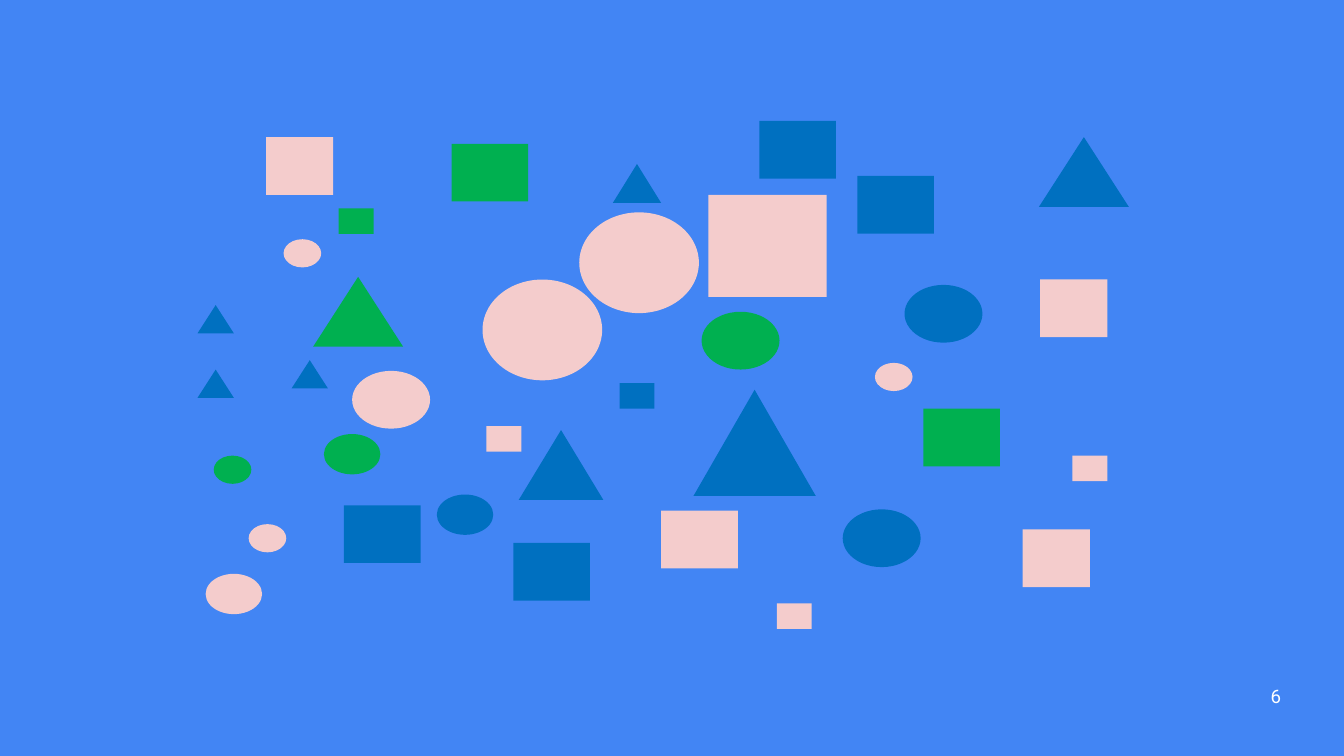
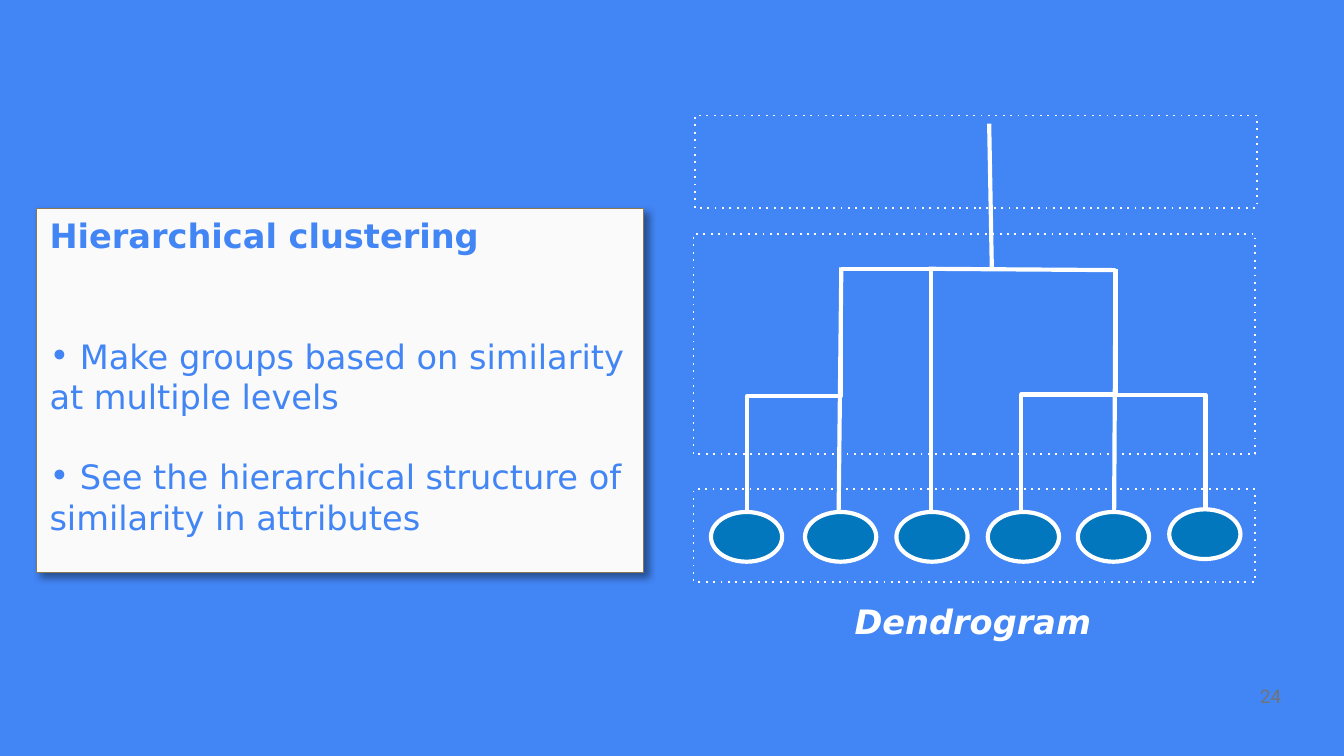
"""Build two slides: a field of mixed shapes and a dendrogram for hierarchical clustering."""
from dataclasses import dataclass
from lxml import etree
from pptx import Presentation, util as u
from pptx.dml.color import RGBColor
from pptx.enum import shapes, text
from pptx.oxml.ns import qn


@dataclass(frozen=True)
class Theme:
    back: str = "4285F4"
    white: str = "FFFFFF"
    gray: str = "737373"
    pink: str = "F4CCCC"
    blue: str = "0070C0"
    green: str = "00B050"
    leaf: str = "0277BD"
    panel: str = "FAFAFA"
    edge: str = "877852"
    shade: str = "000000"
    body: str = "DejaVu Sans"
    foot: str = "Roboto"
    big: int = 18
    small: int = 10
    thin: float = 0.75
    dots: float = 1
    thick: float = 2.25


T = Theme()
WIDE = 10
TALL = WIDE * 9 / 16
KIND = shapes.MSO_SHAPE
BOX, OVAL, TRI = KIND.RECTANGLE, KIND.OVAL, KIND.ISOSCELES_TRIANGLE

FIELD = [
    (OVAL, T.pink, (0.89, 0.75), [(3.59, 2.08), (4.31, 1.58)]),
    (OVAL, T.pink, (0.58, 0.43), [(2.62, 2.76)]),
    (OVAL, T.green, (0.58, 0.43), [(5.22, 2.32)]),
    (OVAL, T.blue, (0.58, 0.43), [(6.73, 2.12), (6.27, 3.79)]),
    (OVAL, T.pink, (0.42, 0.3), [(1.53, 4.27)]),
    (OVAL, T.green, (0.42, 0.3), [(2.41, 3.23)]),
    (OVAL, T.blue, (0.42, 0.3), [(3.25, 3.68)]),
    (OVAL, T.pink, (0.28, 0.21), [(2.11, 1.78), (6.51, 2.7), (1.85, 3.9)]),
    (OVAL, T.green, (0.28, 0.21), [(1.59, 3.39)]),
    (BOX, T.pink, (0.88, 0.76), [(5.27, 1.45)]),
    (BOX, T.pink, (0.57, 0.43), [(4.92, 3.8)]),
    (BOX, T.green, (0.57, 0.43), [(6.87, 3.04), (3.36, 1.07)]),
    (BOX, T.blue, (0.57, 0.43),
     [(6.38, 1.31), (2.56, 3.76), (5.65, 0.9), (3.82, 4.04)]),
    (BOX, T.pink, (0.5, 0.43), [(7.74, 2.08), (7.61, 3.94), (1.98, 1.02)]),
    (BOX, T.pink, (0.26, 0.19), [(3.62, 3.17), (5.78, 4.49), (7.98, 3.39)]),
    (BOX, T.blue, (0.26, 0.19), [(4.61, 2.85)]),
    (BOX, T.green, (0.26, 0.19), [(2.52, 1.55)]),
    (TRI, T.blue, (0.91, 0.79), [(5.16, 2.9)]),
    (TRI, T.blue, (0.67, 0.52), [(7.73, 1.02)]),
    (TRI, T.green, (0.67, 0.52), [(2.33, 2.06)]),
    (TRI, T.blue, (0.63, 0.52), [(3.86, 3.2)]),
    (TRI, T.blue, (0.36, 0.29), [(4.56, 1.22)]),
    (TRI, T.blue, (0.27, 0.21), [(1.47, 2.27), (1.47, 2.75), (2.17, 2.68)]),
]

HEAD = "Hierarchical clustering"
POINTS = [
    (" Make groups based on similarity at multiple levels", 43),
    (" See the hierarchical structure of similarity in attributes", 21.5),
]
LEAVES = [(5.29, 3.81), (5.99, 3.81), (6.67, 3.81),
          (7.35, 3.81), (8.02, 3.81), (8.7, 3.79)]
BENDS = [
    ((5.56, 3.81), (6.26, 2.08), 0.5),
    ((6.93, 3.81), (6.26, 2), 1),
    ((7.6, 3.8), (8.3, 2.07), 0.5),
    ((8.97, 3.8), (8.3, 2), 0.48),
]
STEMS = [
    ((6.24, 3.81), (6.26, 1.99)),
    ((8.29, 3.8), (8.3, 2.01)),
    ((6.91, 2), (8.3, 2.01)),
    ((7.38, 2.01), (7.36, 0.92)),
]
LEVELS = [(5.16, 3.64, 0.69), (5.17, 0.86, 0.69), (5.16, 1.74, 1.64)]


def rgb(code):
    return RGBColor.from_string(code)


def sub(node, tag, **attrs):
    return etree.SubElement(node, qn(tag), attrs)


def draw(slide, kind, area, fill=None, line=None, width=1):
    item = slide.shapes.add_shape(kind, *map(u.Inches, area))
    item.shadow.inherit = False
    if fill:
        item.fill.solid()
        item.fill.fore_color.rgb = rgb(fill)
    else:
        item.fill.background()
    if line:
        item.line.color.rgb = rgb(line)
        item.line.width = u.Pt(width)
    else:
        item.line.fill.background()
    return item


def write(para, words, color, size=T.big, font=T.body, bold=False, slant=False):
    run = para.add_run()
    run.text = words
    face = run.font
    face.name, face.size = font, u.Pt(size)
    face.bold, face.italic = bold, slant
    face.color.rgb = rgb(color)


def label(slide, area, words, color, align, anchor, **style):
    frame = slide.shapes.add_textbox(*map(u.Inches, area)).text_frame
    frame.word_wrap = True
    frame.vertical_anchor = anchor
    para = frame.paragraphs[0]
    para.alignment = align
    write(para, words, color, **style)


def wire(slide, kind, start, end):
    ends = [u.Inches(v) for v in (*start, *end)]
    item = slide.shapes.add_connector(kind, *ends)
    item.line.color.rgb = rgb(T.white)
    item.line.width = u.Pt(T.thick)
    sub(item.element.spPr, "a:effectLst")
    return item


def bend(slide, start, end, ratio):
    (ax, ay), (bx, by) = start, end
    wide, tall = abs(by - ay), abs(bx - ax)
    left, top = (ax + bx - wide) / 2, (ay + by - tall) / 2
    item = wire(slide, shapes.MSO_CONNECTOR.ELBOW,
                (left, top), (left + wide, top + tall))
    props = item.element.spPr
    frame = props.find(qn("a:xfrm"))
    right = bx > ax
    frame.set("rot", str((270 if right else 90) * 60000))
    if not right:
        frame.set("flipH", "1")
    guides = props.find(qn("a:prstGeom")).find(qn("a:avLst"))
    sub(guides, "a:gd", name="adj1", fmla=f"val {round(ratio * 100000)}")


def bullet(para):
    props = para._p.get_or_add_pPr()
    props.set("marL", "0")
    props.set("indent", str(-u.Inches(0.12)))
    sub(sub(props, "a:buClr"), "a:srgbClr", val=T.back)
    sub(props, "a:buFont", typeface=T.body)
    sub(props, "a:buChar", char="•")


def cast(item):
    effects = item.element.spPr.find(qn("a:effectLst"))
    outer = sub(effects, "a:outerShdw", blurRad=str(u.Pt(4)), dist=str(u.Pt(3)),
                dir=str(45 * 60000), algn="tl", rotWithShape="0")
    sub(sub(outer, "a:srgbClr", val=T.shade), "a:alpha", val="40000")


def page(deck, number, color):
    slide = deck.slides.add_slide(deck.slide_layouts[6])
    slide.background.fill.solid()
    slide.background.fill.fore_color.rgb = rgb(T.back)
    label(slide, (9.13, 5.01, 0.5, 0.3), number, color, text.PP_ALIGN.RIGHT,
          text.MSO_ANCHOR.BOTTOM, size=T.small, font=T.foot)
    return slide


def scatter(deck):
    slide = page(deck, "6", T.white)
    for kind, color, size, spots in FIELD:
        for spot in spots:
            draw(slide, kind, (*spot, *size), color)


def panel(slide):
    card = draw(slide, BOX, (0.27, 1.55, 4.52, 2.71), T.panel, T.edge, T.thin)
    cast(card)
    frame = card.text_frame
    frame.word_wrap = True
    frame.vertical_anchor = text.MSO_ANCHOR.TOP
    para = frame.paragraphs[0]
    para.alignment = text.PP_ALIGN.LEFT
    write(para, HEAD, T.back, bold=True)
    for words, gap in POINTS:
        para = frame.add_paragraph()
        para.alignment = text.PP_ALIGN.LEFT
        para.space_before = u.Pt(gap)
        bullet(para)
        write(para, words, T.back)


def cluster(deck):
    slide = page(deck, "24", T.gray)
    panel(slide)
    for spot in LEAVES:
        draw(slide, OVAL, (*spot, 0.53, 0.37), T.leaf, T.white, T.thick)
    for start, end, ratio in BENDS:
        bend(slide, start, end, ratio)
    for start, end in STEMS:
        wire(slide, shapes.MSO_CONNECTOR.STRAIGHT, start, end)
    for left, top, tall in LEVELS:
        level = draw(slide, BOX, (left, top, 4.18, tall), None, T.white, T.dots)
        sub(level.element.spPr.find(qn("a:ln")), "a:prstDash", val="dot")
    label(slide, (6.26, 4.42, 1.98, 0.3), "Dendrogram", T.white,
          text.PP_ALIGN.LEFT, text.MSO_ANCHOR.TOP, bold=True, slant=True)


def main():
    deck = Presentation()
    deck.slide_width, deck.slide_height = u.Inches(WIDE), u.Inches(TALL)
    scatter(deck)
    cluster(deck)
    deck.save("out.pptx")


if __name__ == "__main__":
    main()
